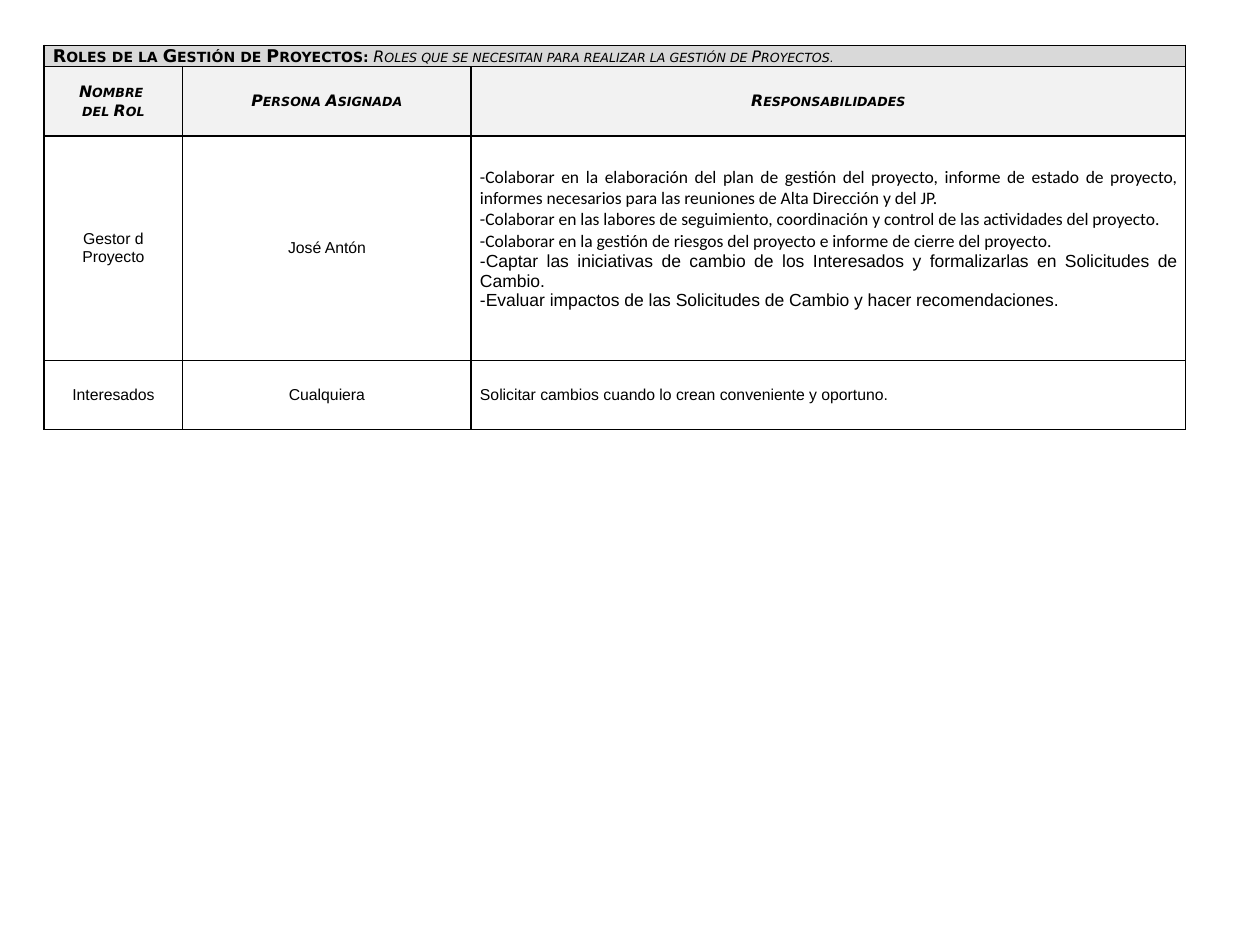
from lxml import etree
from pptx import Presentation
from pptx.dml.color import RGBColor
from pptx.enum import text
from pptx.oxml.ns import qn
from pptx.util import Inches, Pt

BLACK = RGBColor(0x00, 0x00, 0x00)
TITLE_GREY = RGBColor(0xD9, 0xD9, 0xD9)
HEADER_GREY = RGBColor(0xF2, 0xF2, 0xF2)

COLUMN_WIDTHS = (1.1, 2.29, 5.67)
ROW_HEIGHTS = (0.17, 0.55, 1.78, 0.55)
CENTER, JUSTIFY = text.PP_ALIGN.CENTER, text.PP_ALIGN.JUSTIFY

TITLE = dict(name="DejaVu Sans", size=Pt(10), bold=True, italic=False)
TITLE_GAP = TITLE | dict(size=Pt(9))
SUBTITLE = TITLE_GAP | dict(bold=False, italic=True)
SUBTITLE_END = SUBTITLE | dict(size=Pt(8))
HEADER = TITLE_GAP | dict(italic=True)
BODY = dict(name="Arial", size=Pt(9), bold=False, italic=False)
DUTY = BODY | dict(size=Pt(10))
DUTY_CALIBRI = DUTY | dict(name="Calibri")

TITLE_RUNS = [
    ("Roles de la Gestión de Proyectos:", TITLE),
    (" ", TITLE_GAP),
    ("Roles que se necesitan para realizar la gestión de Proyectos", SUBTITLE),
    (".", SUBTITLE_END),
]
HEADERS = (["Nombre ", "del Rol"], ["Persona Asignada"], ["Responsabilidades"])
MANAGER_DUTIES = [
    ("-Colaborar en la elaboración del plan de gestión del proyecto, informe de estado de "
     "proyecto, informes necesarios para las reuniones de Alta Dirección y del JP. ", DUTY_CALIBRI),
    ("-Colaborar en las labores de seguimiento, coordinación y control de las actividades "
     "del proyecto. ", DUTY_CALIBRI),
    ("-Colaborar en la gestión de riesgos del proyecto e informe de cierre del proyecto. ",
     DUTY_CALIBRI),
    ("-Captar las iniciativas de cambio de los Interesados y formalizarlas en Solicitudes "
     "de Cambio.", DUTY),
    ("-Evaluar impactos de las Solicitudes de Cambio y hacer recomendaciones.", DUTY),
]
STAKEHOLDER_DUTIES = [("Solicitar cambios cuando lo crean conveniente y oportuno.", BODY)]
ROLES = (
    ("Gestor d Proyecto", "José Antón", MANAGER_DUTIES),
    ("Interesados", "Cualquiera", STAKEHOLDER_DUTIES),
)


def add_borders(cell):
    properties = cell._tc.get_or_add_tcPr()
    for side in ("lnL", "lnR", "lnT", "lnB"):
        line = etree.SubElement(properties, qn(f"a:{side}"), w=str(Pt(1)))
        fill = etree.SubElement(line, qn("a:solidFill"))
        etree.SubElement(fill, qn("a:srgbClr"), val=str(BLACK))


def format_cell(cell, fill_color=None):
    cell_format = dict(
        margin_left=Inches(0.07), margin_right=Inches(0.07), margin_top=0, margin_bottom=0,
        vertical_anchor=text.MSO_ANCHOR.MIDDLE)
    for attribute, value in cell_format.items():
        setattr(cell, attribute, value)
    add_borders(cell)
    if fill_color is None:
        cell.fill.background()
    else:
        cell.fill.solid()
        cell.fill.fore_color.rgb = fill_color


def write_cell(cell, paragraphs, alignment=None, small_caps=False):
    """Write paragraphs, each a list of (wording, font format) runs."""
    frame = cell.text_frame
    for index, runs in enumerate(paragraphs):
        paragraph = frame.add_paragraph() if index else frame.paragraphs[0]
        paragraph.alignment = alignment
        for wording, font_format in runs:
            run = paragraph.add_run()
            run.text = wording
            for attribute, value in font_format.items():
                setattr(run.font, attribute, value)
            run.font.color.rgb = BLACK
            if small_caps:
                run._r.get_or_add_rPr().set("cap", "small")


def add_roles_table(slide, left, top, width, height):
    table = slide.shapes.add_table(
        len(ROW_HEIGHTS), len(COLUMN_WIDTHS), left, top, width, height).table
    table.first_row = table.horz_banding = False
    for column, column_width in zip(table.columns, COLUMN_WIDTHS):
        column.width = Inches(column_width)
    row_fills = (TITLE_GREY, HEADER_GREY, None, None)
    for row, row_height, fill_color in zip(table.rows, ROW_HEIGHTS, row_fills):
        row.height = Inches(row_height)
        for cell in row.cells:
            format_cell(cell, fill_color)

    title = table.cell(0, 0)
    title.merge(table.cell(0, len(COLUMN_WIDTHS) - 1))
    write_cell(title, [TITLE_RUNS], small_caps=True)
    for column, lines in enumerate(HEADERS):
        write_cell(table.cell(1, column), [[(line, HEADER)] for line in lines],
                   CENTER, small_caps=True)
    for row, (role, person, duties) in enumerate(ROLES, start=2):
        write_cell(table.cell(row, 0), [[(role, BODY)]], CENTER)
        write_cell(table.cell(row, 1), [[(person, BODY)]], CENTER)
        write_cell(table.cell(row, 2), [[duty] for duty in duties], JUSTIFY)
    # The manager's duties sit slightly above the middle of their cell.
    table.cell(2, 2).margin_bottom = Inches(0.15)


def main():
    presentation = Presentation()
    presentation.slide_width, presentation.slide_height = Inches(10), Inches(7.5)
    slide = presentation.slides.add_slide(presentation.slide_layouts[6])
    add_roles_table(slide, Inches(0.35), Inches(0.36),
                    Inches(sum(COLUMN_WIDTHS)), Inches(sum(ROW_HEIGHTS)))
    presentation.save("out.pptx")


if __name__ == "__main__":
    main()
